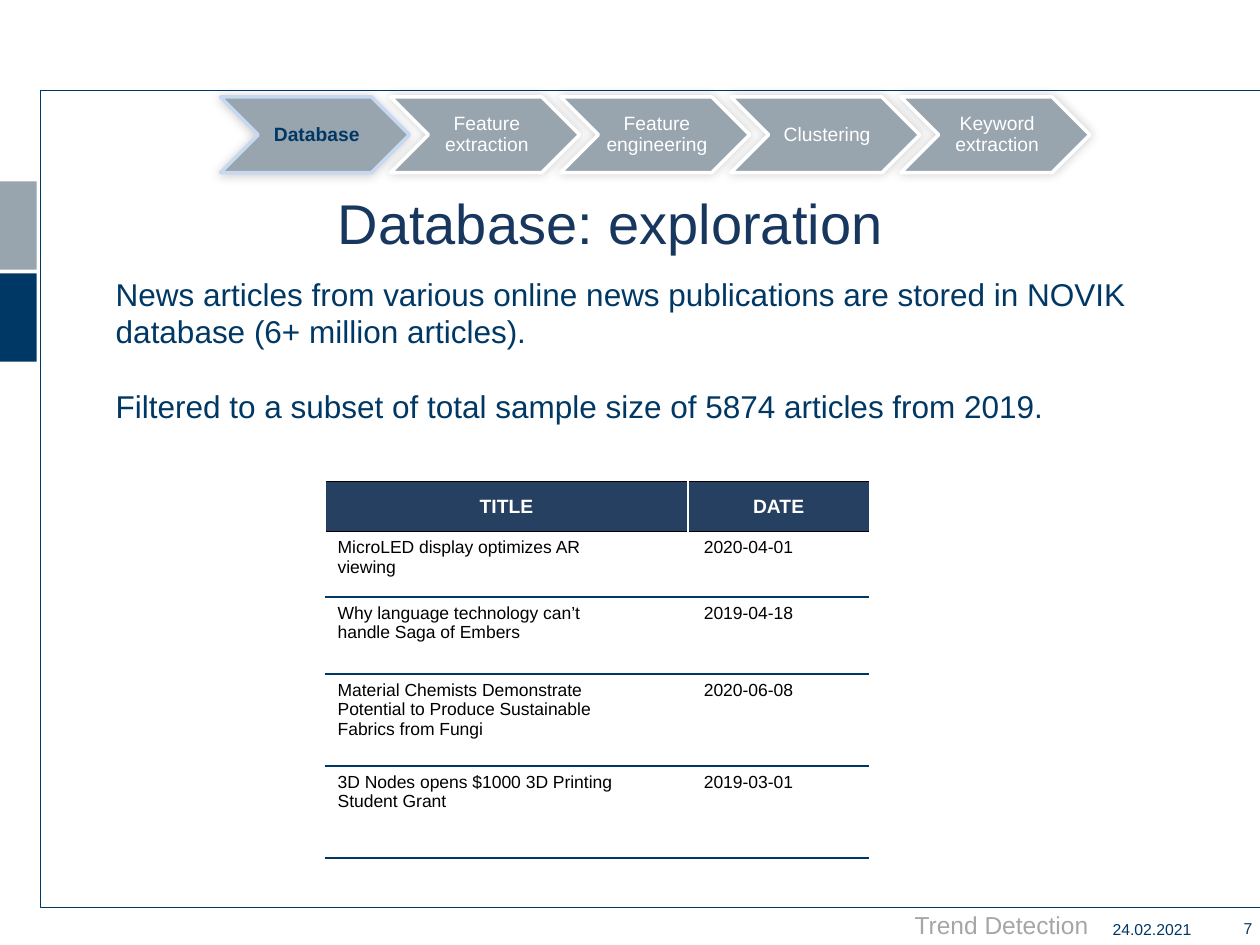
from lxml import etree
from pptx import Presentation
from pptx.dml.color import RGBColor
from pptx.enum.shapes import MSO_SHAPE
from pptx.enum.text import MSO_ANCHOR, PP_ALIGN
from pptx.oxml.ns import qn
from pptx.util import Inches, Pt

LEFT, CENTER, RIGHT = PP_ALIGN.LEFT, PP_ALIGN.CENTER, PP_ALIGN.RIGHT
TOP, MIDDLE = MSO_ANCHOR.TOP, MSO_ANCHOR.MIDDLE
RECTANGLE, CHEVRON = MSO_SHAPE.RECTANGLE, MSO_SHAPE.CHEVRON
NAVY, GREY, WHITE, BLACK = "003865", "98A4AE", "FFFFFF", "000000"
HEADER_FILL, TITLE_COLOR, FOOTER_COLOR, ACTIVE_LINE = "254061", "17375E", "A6A6A6", "C6D9F1"

SIDE_BLOCKS = [(GREY, 1.44), (NAVY, 2.17)]
FRAME = [(10, 0.72), (0.32, 0.72), (0.32, 7.2), (10, 7.2), (9.49, 7.2)]
STEPS = ["Database", "Feature extraction", "Feature engineering", "Clustering", "Keyword extraction"]
ACTIVE_STEP = 0
STEP_LEFT, STEP_TOP, STEP_PITCH, STEP_WIDTH, STEP_HEIGHT = 1.75, 0.77, 1.35, 1.5, 0.6
BODY = [
    "News articles from various online news publications are stored in NOVIK database (6+ million articles).",
    "Filtered to a subset of total sample size of 5874 articles from 2019.",
]
HEADINGS = [["TITLE", "DATE"]]
ARTICLES = [
    ["MicroLED display optimizes AR viewing", "2020-04-01"],
    ["Why language technology can’t handle Saga of Embers", "2019-04-18"],
    ["Material Chemists Demonstrate Potential to Produce Sustainable Fabrics from Fungi", "2020-06-08"],
    ["3D Nodes opens $1000 3D Printing Student Grant", "2019-03-01"],
]
TABLE_LEFT, TABLE_WIDTH, HEADER_TOP, HEADER_HEIGHT = 2.58, 4.32, 3.82, 0.4


def color(value):
    """Turn a hex string into a colour."""
    return RGBColor.from_string(value)


def write(frame, paragraphs, size, ink, align=LEFT, bold=False, indent=0, gap=0, spacing=None):
    """Fill a text frame with paragraphs of one format."""
    frame.word_wrap = True
    for index, text in enumerate(paragraphs):
        paragraph = frame.paragraphs[0] if index == 0 else frame.add_paragraph()
        paragraph.alignment = align
        if indent:
            properties = paragraph._p.get_or_add_pPr()
            properties.set("marL", str(Inches(indent)))
            properties.set("indent", "0")
        if spacing:
            paragraph.line_spacing = spacing
        if index:
            paragraph.space_before = Pt(gap)
        run = paragraph.add_run()
        run.text = text
        run.font.name, run.font.size, run.font.bold = "Arial", Pt(size), bold
        run.font.color.rgb = color(ink)


def set_margins(frame, left, top, right, bottom):
    """Set the four insets of a text frame."""
    frame.margin_left, frame.margin_top = Inches(left), Inches(top)
    frame.margin_right, frame.margin_bottom = Inches(right), Inches(bottom)


def add_text(slide, box, paragraphs, size, ink, anchor=TOP, inset=True, **text_format):
    """Add a text box."""
    frame = slide.shapes.add_textbox(*map(Inches, box)).text_frame
    frame.vertical_anchor = anchor
    if not inset:
        set_margins(frame, 0, 0, 0, 0)
    write(frame, paragraphs, size, ink, **text_format)


def add_block(slide, kind, box, fill, line=None):
    """Add a filled preset shape without a shadow."""
    shape = slide.shapes.add_shape(kind, *map(Inches, box))
    shape.shadow.inherit = False
    shape.fill.solid()
    shape.fill.fore_color.rgb = color(fill)
    if line:
        shape.line.color.rgb = color(line)
        shape.line.width = Pt(2)
    else:
        shape.line.fill.background()
    return shape


def add_shadow(shape, distance, direction):
    """Give a shape a soft outer shadow."""
    effects = shape._element.spPr.find(qn("a:effectLst"))
    shadow = etree.SubElement(effects, qn("a:outerShdw"), blurRad=str(Pt(6)),
                              dist=str(Pt(distance)), dir=str(direction * 60000))
    ink = etree.SubElement(shadow, qn("a:srgbClr"), val=BLACK)
    etree.SubElement(ink, qn("a:alpha"), val="20000")


def add_frame(slide):
    """Draw the open outline around the content."""
    start, *others = [(Inches(x), Inches(y)) for x, y in FRAME]
    builder = slide.shapes.build_freeform(*start)
    builder.add_line_segments(others, close=False)
    shape = builder.convert_to_shape()
    shape.shadow.inherit = False
    shape.fill.background()
    shape.line.color.rgb = color(NAVY)
    shape.line.width = Pt(0.75)


def set_borders(cell, borders):
    """Set the cell sides named in borders and hide the others."""
    properties = cell._tc.get_or_add_tcPr()
    for side in "LRTB":
        line = etree.SubElement(properties, qn(f"a:ln{side}"), w=str(Pt(1)))
        if side in borders:
            fill = etree.SubElement(line, qn("a:solidFill"))
            etree.SubElement(fill, qn("a:srgbClr"), val=borders[side])
        else:
            etree.SubElement(line, qn("a:noFill"))


def add_table(slide, top, rows, columns, heights, borders, aligns, size, ink,
              fill=None, anchor=TOP, bold=False):
    """Add a table with plain cells."""
    box = map(Inches, (TABLE_LEFT, top, TABLE_WIDTH, sum(heights)))
    table = slide.shapes.add_table(len(rows), len(columns), *box).table
    table.first_row = table.horz_banding = False
    for column, width in zip(table.columns, columns):
        column.width = Inches(width)
    for row, height, texts in zip(table.rows, heights, rows):
        row.height = Inches(height)
        for cell, text, align in zip(row.cells, texts, aligns):
            set_borders(cell, borders)
            if fill:
                cell.fill.solid()
                cell.fill.fore_color.rgb = color(fill)
            else:
                cell.fill.background()
            cell.vertical_anchor = anchor
            write(cell.text_frame, [text], size, ink, align=align, bold=bold)


def add_steps(slide):
    """Draw the row of process chevrons."""
    for index, step in enumerate(STEPS):
        active = index == ACTIVE_STEP
        box = (STEP_LEFT + index * STEP_PITCH, STEP_TOP, STEP_WIDTH, STEP_HEIGHT)
        chevron = add_block(slide, CHEVRON, box, GREY, ACTIVE_LINE if active else WHITE)
        add_shadow(chevron, *((1, 135) if active else (0, 225)))
        frame = chevron.text_frame
        frame.vertical_anchor = MIDDLE
        set_margins(frame, 0.05, 0.02, 0.02, 0.02)
        write(frame, [step], 11, NAVY if active else WHITE, align=CENTER, bold=active, spacing=0.9)


def main():
    """Build and save the slide."""
    presentation = Presentation()
    presentation.slide_width, presentation.slide_height = Inches(10), Inches(7.5)
    slide = presentation.slides.add_slide(presentation.slide_layouts[6])
    for fill, top in SIDE_BLOCKS:
        add_block(slide, RECTANGLE, (0, top, 0.29, 0.7), fill)
    add_frame(slide)
    add_text(slide, (7.16, 7.17, 2.65, 0.34), ["Trend Detection"], 14, FOOTER_COLOR)
    add_text(slide, (0.74, 1.44, 8.21, 0.65), ["Database: exploration"], 32, TITLE_COLOR,
             anchor=MIDDLE, align=CENTER)
    add_text(slide, (8.83, 7.3, 0.77, 0.2), ["24.02.2021"], 9, NAVY, inset=False)
    add_text(slide, (9.68, 7.29, 0.26, 0.21), ["7"], 9, NAVY, inset=False, align=RIGHT)
    add_text(slide, (0.32, 2.13, 8.81, 1.31), BODY, 18, NAVY, indent=0.5, gap=21)
    add_table(slide, HEADER_TOP + HEADER_HEIGHT, ARTICLES, [2.4, 1.92], [0.52, 0.61, 0.73, 0.73],
              {"T": NAVY, "B": NAVY}, [LEFT, CENTER], 10, BLACK)
    add_table(slide, HEADER_TOP, HEADINGS, [TABLE_WIDTH * 2 / 3, TABLE_WIDTH / 3], [HEADER_HEIGHT],
              {"L": WHITE, "R": WHITE, "T": BLACK, "B": BLACK}, [CENTER, CENTER], 11, WHITE,
              fill=HEADER_FILL, anchor=MIDDLE, bold=True)
    add_steps(slide)
    presentation.save("out.pptx")


if __name__ == "__main__":
    main()
